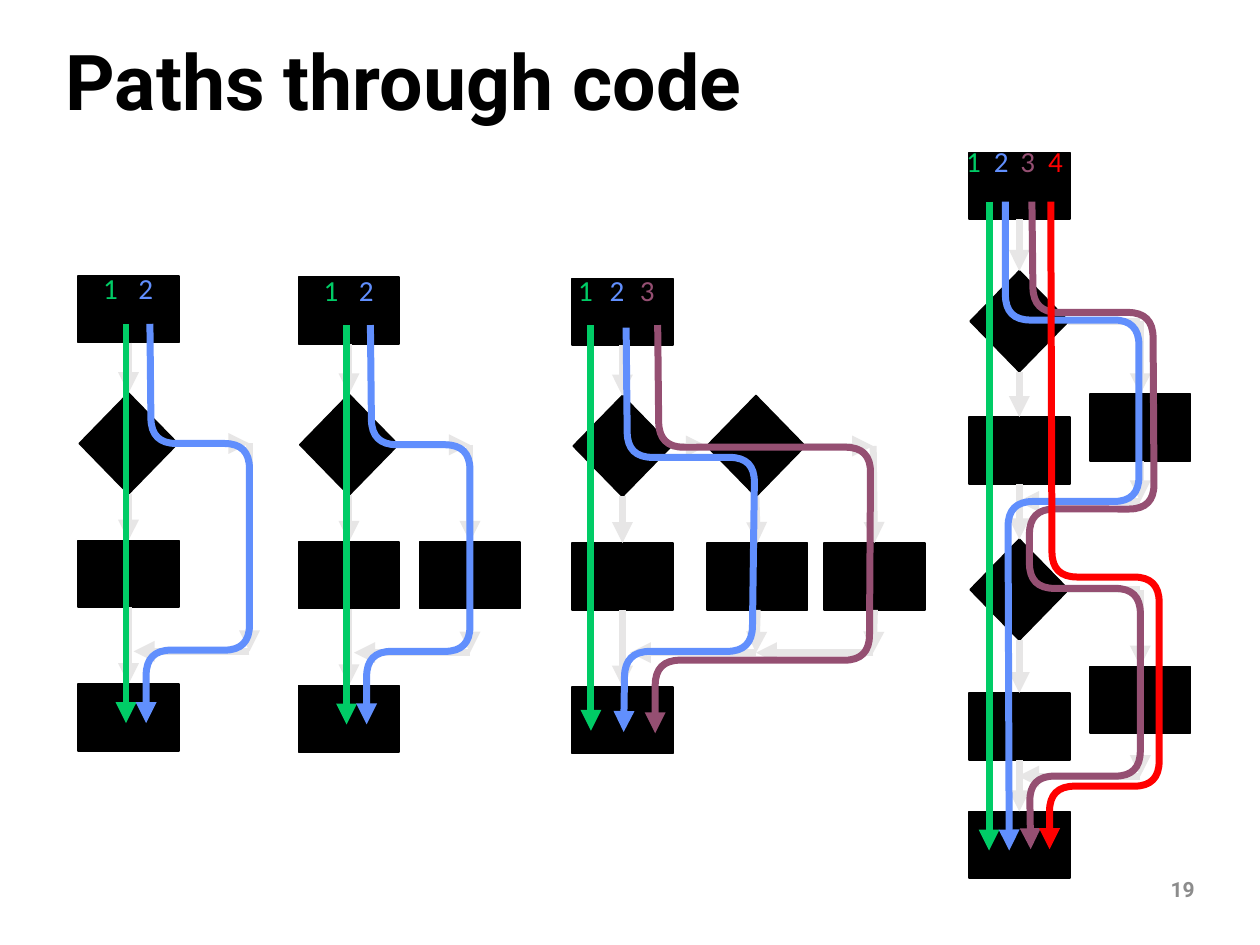
from math import dist

from lxml import etree
from pptx import Presentation
from pptx.dml.color import RGBColor
from pptx.enum.shapes import MSO_CONNECTOR, MSO_SHAPE
from pptx.enum.text import MSO_ANCHOR, MSO_AUTO_SIZE, PP_ALIGN
from pptx.oxml.ns import qn
from pptx.util import Inches, Pt

RECT, DIAMOND = MSO_SHAPE.RECTANGLE, MSO_SHAPE.DIAMOND
STRAIGHT = MSO_CONNECTOR.STRAIGHT
MIDDLE = MSO_ANCHOR.MIDDLE
LEFT, RIGHT = PP_ALIGN.LEFT, PP_ALIGN.RIGHT
GROW = MSO_AUTO_SIZE.SHAPE_TO_FIT_TEXT
TOP_SITE, LEFT_SITE, BOTTOM_SITE, RIGHT_SITE = range(4)

BLACK, GRAY, LIGHT = "000000", "8C8C8C", "E7E6E6"
GREEN, BLUE, PURPLE, RED = "00CC66", "618FFD", "954F72", "FF0000"
BOX_W, BOX_H = 0.8, 0.53
DIAMOND_W, DIAMOND_H = 0.78, 0.8
RADIUS = 0.2


def rgb(color):
    return RGBColor.from_string(color)


def add_run(p, text, size, font, color, bold=False):
    r = p.add_run()
    r.text = text
    r.font.size = Pt(size)
    r.font.name = font
    r.font.bold = bold
    r.font.color.rgb = rgb(color)


def style_line(line, color, head=True):
    line.line.color.rgb = rgb(color)
    line.line.width = Pt(4)
    sp_pr = line.element.spPr
    if head:
        etree.SubElement(sp_pr.find(qn("a:ln")), qn("a:tailEnd"), type="triangle")
    etree.SubElement(sp_pr, qn("a:effectLst"))


def add_node(s, kind, x, y, w, h):
    sp = s.shapes.add_shape(kind, Inches(x), Inches(y), Inches(w), Inches(h))
    sp.shadow.inherit = False
    sp.fill.solid()
    sp.fill.fore_color.rgb = rgb(BLACK)
    sp.line.color.rgb = rgb(BLACK)
    sp.line.width = Pt(1)
    return sp


def add_box(s, x, y):
    return add_node(s, RECT, x, y, BOX_W, BOX_H)


def add_decision(s, x, y):
    return add_node(s, DIAMOND, x + 0.01, y, DIAMOND_W, DIAMOND_H)


def add_arrow(s, start, end, color=LIGHT, head=True):
    ends = [p if isinstance(p[0], float) else (0, 0) for p in (start, end)]
    line = s.shapes.add_connector(STRAIGHT, *[Inches(v) for p in ends for v in p])
    for point, connect in ((start, line.begin_connect), (end, line.end_connect)):
        if not isinstance(point[0], float):
            connect(*point)
    style_line(line, color, head)


def add_spine(s, nodes):
    for upper, lower in zip(nodes, nodes[1:]):
        add_arrow(s, (upper, BOTTOM_SITE), (lower, TOP_SITE))


def add_branch(s, decision, side, turn, join, head=True):
    corner = (turn[0], join[1])
    add_arrow(s, (decision, RIGHT_SITE), turn, head=head)
    if side is None:
        add_arrow(s, turn, corner)
    else:
        add_arrow(s, turn, (side, TOP_SITE))
        add_arrow(s, (side, BOTTOM_SITE), corner)
    add_arrow(s, corner, join)


def toward(a, b):
    t = RADIUS / dist(a, b)
    return tuple(u + (v - u) * t for u, v in zip(a, b))


def add_rounded_line(s, points, color):
    vertices = []
    for before, corner, after in zip(points, points[1:], points[2:]):
        vertices += [toward(corner, before), corner, toward(corner, after)]
    vertices.append(points[-1])
    builder = s.shapes.build_freeform(*[Inches(v) for v in points[0]])
    builder.add_line_segments([(Inches(x), Inches(y)) for x, y in vertices], close=False)
    sp = builder.convert_to_shape()
    segments = list(sp.element.iter(qn("a:lnTo")))
    for at_corner, past_corner in zip(segments[1::3], segments[2::3]):
        curve = etree.Element(qn("a:quadBezTo"))
        at_corner.addprevious(curve)
        for segment in (at_corner, past_corner):
            curve.append(segment[0])
            segment.getparent().remove(segment)
    sp.fill.background()
    style_line(sp, color)


def add_route(s, x, y, number, color, label_x, label_y, points):
    points = [(x + dx, y + dy) for dx, dy in points]
    if len(points) == 2:
        add_arrow(s, *points, color=color)
    else:
        add_rounded_line(s, points, color)
    tb = s.shapes.add_textbox(Inches(x + label_x), Inches(y + label_y), Inches(0.32), Inches(0.38))
    tf = tb.text_frame
    tf.word_wrap = False
    tf.auto_size = GROW
    add_run(tf.paragraphs[0], number, 16.6, "Calibri", color)


def add_single_if(s, x, y, has_else):
    start, body, end = [add_box(s, x, y + dy) for dy in (0, 2.1, 3.24)]
    decision = add_decision(s, x, y + 0.93)
    side = add_box(s, x + 0.96, y + 2.1) if has_else else None
    add_spine(s, [start, decision, body, end])
    add_branch(s, decision, side, (x + 1.36, y + 1.33), (x + 0.44, y + 2.98))
    add_route(s, x, y, "1", GREEN, 0.1, -0.09, [(0.38, 0.38), (0.38, 3.55)])
    add_route(s, x, y, "2", BLUE, 0.38, -0.09,
              [(0.57, 0.38), (0.58, 1.33), (1.36, 1.33), (1.36, 2.97), (0.54, 2.97), (0.54, 3.55)])


def add_else_if(s, x, y):
    start, body, end = [add_box(s, x, y + dy) for dy in (0, 2.1, 3.24)]
    first, second = [add_decision(s, x + dx, y + 0.93) for dx in (0, 1.06)]
    middle, last = [add_box(s, x + dx, y + 2.1) for dx in (1.07, 2.0)]
    corner = (x + 1.46, y + 2.97)
    add_spine(s, [start, first, body, end])
    add_spine(s, [second, middle])
    add_arrow(s, (first, RIGHT_SITE), (second, LEFT_SITE))
    add_arrow(s, (middle, BOTTOM_SITE), corner)
    add_arrow(s, corner, (x + 0.46, y + 2.97))
    add_branch(s, second, last, (x + 2.39, y + 1.33), corner)
    add_route(s, x, y, "1", GREEN, -0.05, -0.1, [(0.15, 0.37), (0.15, 3.59)])
    add_route(s, x, y, "2", BLUE, 0.2, -0.1,
              [(0.43, 0.39), (0.44, 1.42), (1.45, 1.42), (1.43, 2.96), (0.42, 2.96), (0.41, 3.6)])
    add_route(s, x, y, "3", PURPLE, 0.44, -0.1,
              [(0.68, 0.37), (0.69, 1.34), (2.37, 1.34), (2.36, 3.03), (0.66, 3.03), (0.66, 3.61)])


def add_two_ifs(s, x, y):
    start, first_body, second_body, end = [add_box(s, x, y + dy) for dy in (0, 2.1, 4.29, 5.23)]
    decisions = [add_decision(s, x, y + dy) for dy in (0.94, 3.07)]
    add_spine(s, [start, decisions[0], first_body, decisions[1], second_body, end])
    for decision, side_y, turn_y, join_y in zip(decisions, (1.92, 4.08), (1.34, 3.47), (2.77, 4.95)):
        side = add_box(s, x + 0.96, y + side_y)
        add_branch(s, decision, side, (x + 1.36, y + turn_y), (x + 0.39, y + join_y), head=False)
    add_route(s, x, y, "1", GREEN, -0.12, -0.12, [(0.16, 0.39), (0.16, 5.54)])
    add_route(s, x, y, "2", BLUE, 0.1, -0.12,
              [(0.29, 0.39), (0.29, 1.33), (1.35, 1.33), (1.35, 2.77), (0.31, 2.77), (0.32, 5.54)])
    add_route(s, x, y, "3", PURPLE, 0.31, -0.12,
              [(0.5, 0.39), (0.51, 1.27), (1.46, 1.27), (1.47, 2.83), (0.48, 2.83), (0.48, 3.46),
               (1.36, 3.46), (1.36, 4.95), (0.48, 4.95), (0.49, 5.53)])
    add_route(s, x, y, "4", RED, 0.53, -0.12,
              [(0.65, 0.39), (0.66, 3.37), (1.51, 3.37), (1.51, 5.03), (0.64, 5.03), (0.64, 5.53)])


def add_title(s, x, y, w, h):
    title = s.shapes.title
    title.left, title.top, title.width, title.height = [Inches(v) for v in (x, y, w, h)]
    title.text_frame.vertical_anchor = MIDDLE
    p = title.text_frame.paragraphs[0]
    p.alignment = LEFT
    p.line_spacing = 0.9
    add_run(p, "Paths through code", 44, "Roboto", BLACK, True)


def add_page_number(s, x, y, w, h):
    tb = s.shapes.add_textbox(Inches(x), Inches(y), Inches(w), Inches(h))
    tf = tb.text_frame
    tf.word_wrap = True
    tf.vertical_anchor = MIDDLE
    p = tf.paragraphs[0]
    p.alignment = RIGHT
    add_run(p, "19", 12, "Roboto", GRAY, True)


def main():
    prs = Presentation()
    prs.slide_width, prs.slide_height = Inches(10), Inches(7.5)
    s = prs.slides.add_slide(prs.slide_layouts[5])
    add_title(s, 0.42, 0.29, 9.15, 0.78)
    add_single_if(s, 0.62, 2.19, False)
    add_single_if(s, 2.37, 2.2, True)
    add_else_if(s, 4.54, 2.21)
    add_two_ifs(s, 7.69, 1.21)
    add_page_number(s, 8.51, 6.86, 1.07, 0.4)
    prs.save("out.pptx")


if __name__ == "__main__":
    main()
